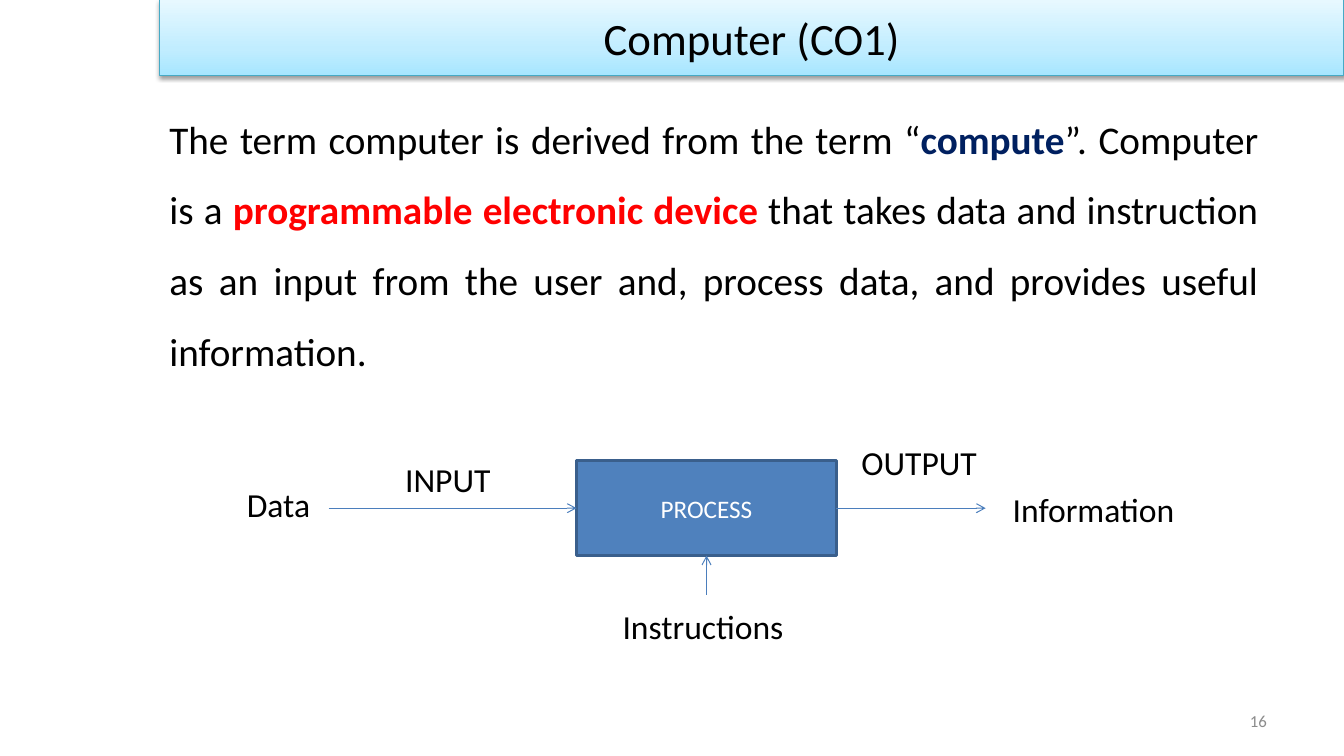
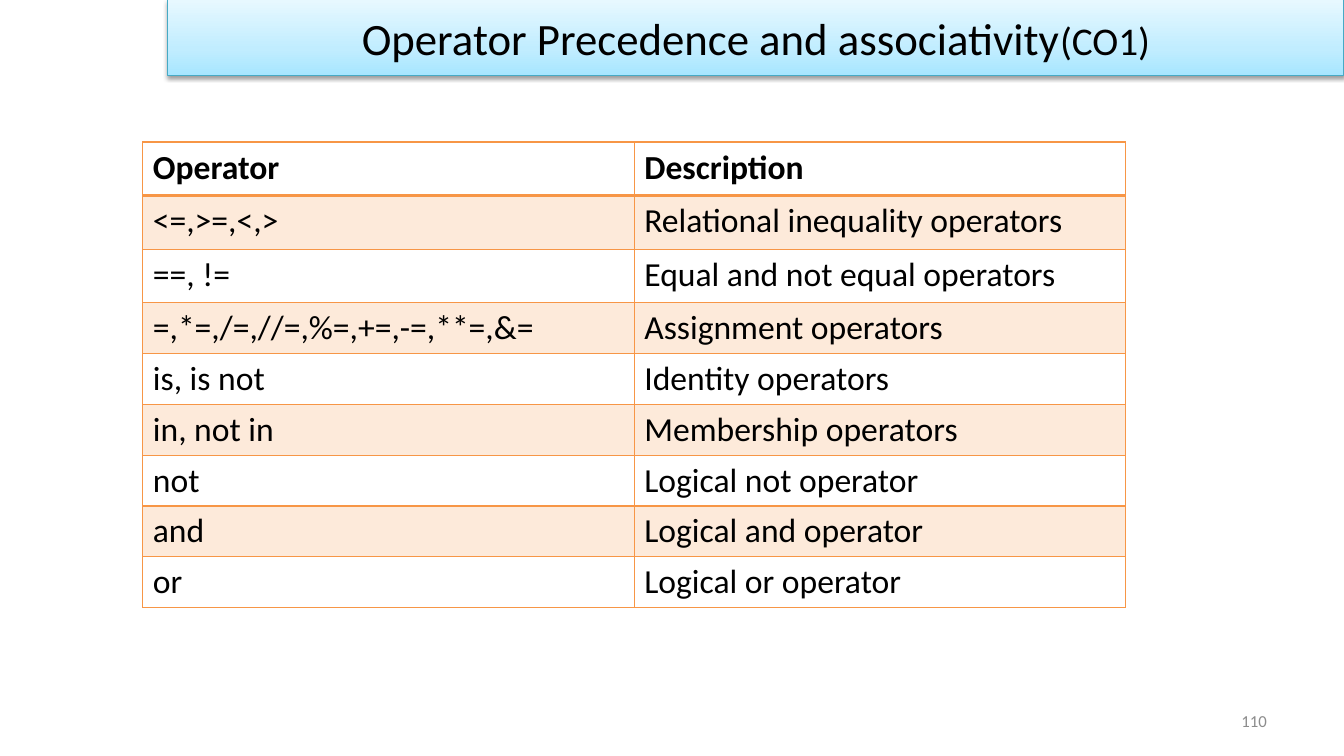
from copy import deepcopy

from lxml import etree
from pptx import Presentation
from pptx.dml.color import RGBColor
from pptx.enum.shapes import MSO_CONNECTOR, MSO_SHAPE
from pptx.enum.text import MSO_ANCHOR, PP_ALIGN
from pptx.oxml.ns import qn
from pptx.util import Cm, Pt

RECTANGLE = MSO_SHAPE.RECTANGLE
STRAIGHT = MSO_CONNECTOR.STRAIGHT
TOP, MIDDLE = MSO_ANCHOR.TOP, MSO_ANCHOR.MIDDLE
LEFT, CENTER = PP_ALIGN.LEFT, PP_ALIGN.CENTER
RIGHT, JUSTIFY = PP_ALIGN.RIGHT, PP_ALIGN.JUSTIFY

BLACK = RGBColor(0x00, 0x00, 0x00)
WHITE = RGBColor(0xFF, 0xFF, 0xFF)
NAVY = RGBColor(0x00, 0x20, 0x60)
RED = RGBColor(0xFF, 0x00, 0x00)
GREY = RGBColor(0x8C, 0x8C, 0x8C)
BAND_LINE = RGBColor(0x46, 0xAA, 0xC5)
BAND_STOPS = [
    (0, RGBColor(0xA7, 0xE6, 0xFF)),
    (0.35, RGBColor(0xC1, 0xED, 0xFF)),
    (1, RGBColor(0xE7, 0xF8, 0xFF)),
]
BLUE = RGBColor(0x4F, 0x81, 0xBD)
BLUE_EDGE = RGBColor(0x3A, 0x5F, 0x8C)
ARROW_BLUE = RGBColor(0x4B, 0x7E, 0xBC)
ORANGE = RGBColor(0xF7, 0x96, 0x46)

FONT = "Calibri"
SLIDE_W, SLIDE_H = Cm(33.87), Cm(19.05)

OPERATORS = [
    ("Operator", "Description"),
    ("<=,>=,<,>", "Relational inequality operators"),
    ("==, !=", "Equal and not equal operators"),
    ("=,*=,/=,//=,%=,+=,-=,**=,&=", "Assignment operators"),
    ("is, is not", "Identity operators"),
    ("in, not in", "Membership operators"),
    ("not", "Logical not operator"),
    ("and", "Logical and operator"),
    ("or", "Logical or operator"),
]


def add_run(paragraph, text, size, color=BLACK, bold=False):
    run = paragraph.add_run()
    run.text = text
    font = run.font
    font.name, font.size, font.bold = FONT, Pt(size), bold
    font.color.rgb = color


def add_text(slide, box, text, size, color=BLACK, align=LEFT, anchor=TOP):
    frame = slide.shapes.add_textbox(*box).text_frame
    frame.word_wrap = True
    frame.vertical_anchor = anchor
    frame.paragraphs[0].alignment = align
    add_run(frame.paragraphs[0], text, size, color)


def add_rectangle(slide, box, edge, edge_width):
    rectangle = slide.shapes.add_shape(RECTANGLE, *box)
    rectangle.shadow.inherit = False
    rectangle.line.color.rgb = edge
    rectangle.line.width = Pt(edge_width)
    rectangle.text_frame.vertical_anchor = MIDDLE
    rectangle.text_frame.paragraphs[0].alignment = CENTER
    return rectangle


def add_title_band(slide, left, runs):
    """Gradient band from left to the slide's right edge; runs are (text, size)."""
    band = add_rectangle(slide, (left, 0, SLIDE_W - left, Cm(1.9)), BAND_LINE, 0.75)
    properties = band._element.spPr

    band.fill.gradient()
    band.fill.gradient_angle = 90
    stop_list = properties.find(".//" + qn("a:gsLst"))
    stop_list.append(deepcopy(stop_list[0]))
    for stop, (position, color) in zip(band.fill.gradient_stops, BAND_STOPS):
        stop.position = position
        stop.color.rgb = color

    shadow = etree.SubElement(
        properties.find(qn("a:effectLst")), qn("a:outerShdw"),
        blurRad=str(Pt(3.1)), dist=str(Pt(1.6)), dir="5400000", rotWithShape="0")
    shadow_color = etree.SubElement(shadow, qn("a:srgbClr"), val=str(BLACK))
    etree.SubElement(shadow_color, qn("a:alpha"), val="38000")

    for text, size in runs:
        add_run(band.text_frame.paragraphs[0], text, size)


def add_page(deck, number, title_left, title_runs):
    slide = deck.slides.add_slide(deck.slide_layouts[6])
    add_title_band(slide, title_left, title_runs)
    add_text(slide, (Cm(24.28), Cm(17.65), Cm(7.9), Cm(1.02)), number, 12,
             GREY, RIGHT, MIDDLE)
    return slide


def add_definition(slide, box):
    frame = slide.shapes.add_textbox(*box).text_frame
    frame.word_wrap = True
    frame.vertical_anchor = MIDDLE
    frame.margin_bottom = Cm(1.95)
    paragraph = frame.paragraphs[0]
    paragraph.alignment = JUSTIFY
    paragraph.line_spacing = 1.5
    paragraph.space_before = Pt(5.6)
    for text, color, bold in [
        ("The term computer is derived from the term “", BLACK, False),
        ("compute", NAVY, True),
        ("”. Computer is a ", BLACK, False),
        ("programmable electronic device", RED, True),
        (" that takes data and instruction as an input from the user and, "
         "process data, and provides useful information. ", BLACK, False),
    ]:
        add_run(paragraph, text, 28, color, bold)


def add_arrow(slide, start, end):
    arrow = slide.shapes.add_connector(STRAIGHT, *start, *end)
    arrow.line.color.rgb = ARROW_BLUE
    arrow.line.width = Pt(0.75)
    etree.SubElement(arrow.line._get_or_add_ln(), qn("a:tailEnd"), type="arrow")
    etree.SubElement(arrow._element.spPr, qn("a:effectLst"))
    return arrow


def add_process_diagram(slide, left, top):
    process_left, process_top = left + Cm(8.56), top + Cm(0.61)
    process_w, process_h = Cm(6.55), Cm(2.39)
    process = add_rectangle(
        slide, (process_left, process_top, process_w, process_h), BLUE_EDGE, 2)
    process.fill.solid()
    process.fill.fore_color.rgb = BLUE
    add_run(process.text_frame.paragraphs[0], "PROCESS", 18, WHITE)

    center_x = process_left + process_w // 2
    center_y = process_top + process_h // 2
    process_right, process_bottom = process_left + process_w, process_top + process_h
    data_flow = add_arrow(
        slide, (left + Cm(2.31), center_y), (process_left, center_y))
    data_flow.end_connect(process, 1)
    result_flow = add_arrow(
        slide, (process_right, center_y), (left + Cm(18.87), center_y))
    result_flow.begin_connect(process, 3)
    instruction_flow = add_arrow(
        slide, (center_x, top + Cm(3.99)), (center_x, process_bottom))
    instruction_flow.end_connect(process, 2)

    for label, x, y, width in [
        ("Data", 0, 1.07, 3.76),
        ("INPUT", 3.99, 0.43, 3.76),
        ("OUTPUT", 15.49, 0, 3.76),
        ("Information", 19.3, 1.19, 4.8),
        ("Instructions", 9.47, 4.14, 4.83),
    ]:
        add_text(slide, (left + Cm(x), top + Cm(y), Cm(width), Cm(1.27)), label, 24)


def set_borders(cell, widths):
    """Orange borders; widths in points for left, right, top and bottom."""
    properties = cell._tc.get_or_add_tcPr()
    for side, width in zip("LRTB", widths):
        border = etree.SubElement(properties, qn("a:ln" + side), w=str(Pt(width)))
        fill = etree.SubElement(border, qn("a:solidFill"))
        etree.SubElement(fill, qn("a:srgbClr"), val=str(ORANGE))


def add_operator_table(slide, left, top, width):
    header_h, row_h = Cm(1.35), Cm(1.28)
    heights = [header_h] * 3 + [row_h] * (len(OPERATORS) - 3)
    table = slide.shapes.add_table(
        len(OPERATORS), 2, left, top, width, sum(heights)).table
    for row, height in zip(table.rows, heights):
        row.height = height
    for r, texts in enumerate(OPERATORS):
        for c, text in enumerate(texts):
            cell = table.cell(r, c)
            set_borders(cell, (1, 1, 2 if r == 1 else 1, 2 if r == 0 else 1))
            if r % 2:
                cell.fill.solid()
                cell.fill.fore_color.rgb = ORANGE
                tint = cell._tc.tcPr.find(qn("a:solidFill"))[0]
                etree.SubElement(tint, qn("a:alpha"), val="20000")
            else:
                cell.fill.background()
            add_run(cell.text_frame.paragraphs[0], text, 24, bold=r == 0)


def main():
    deck = Presentation()
    deck.slide_width, deck.slide_height = SLIDE_W, SLIDE_H

    computer = add_page(deck, "16", Cm(4.02), [("Computer (CO1)", 32)])
    add_definition(computer, (Cm(4.02), Cm(2.97), Cm(27.94), Cm(7.62)))
    add_process_diagram(computer, Cm(5.97), Cm(11))

    precedence = add_page(deck, "110", Cm(4.23), [
        ("Operator Precedence and associativity", 32), ("(CO1)", 28)])
    add_operator_table(precedence, Cm(3.6), Cm(3.58), Cm(24.77))

    deck.save("out.pptx")


if __name__ == "__main__":
    main()
